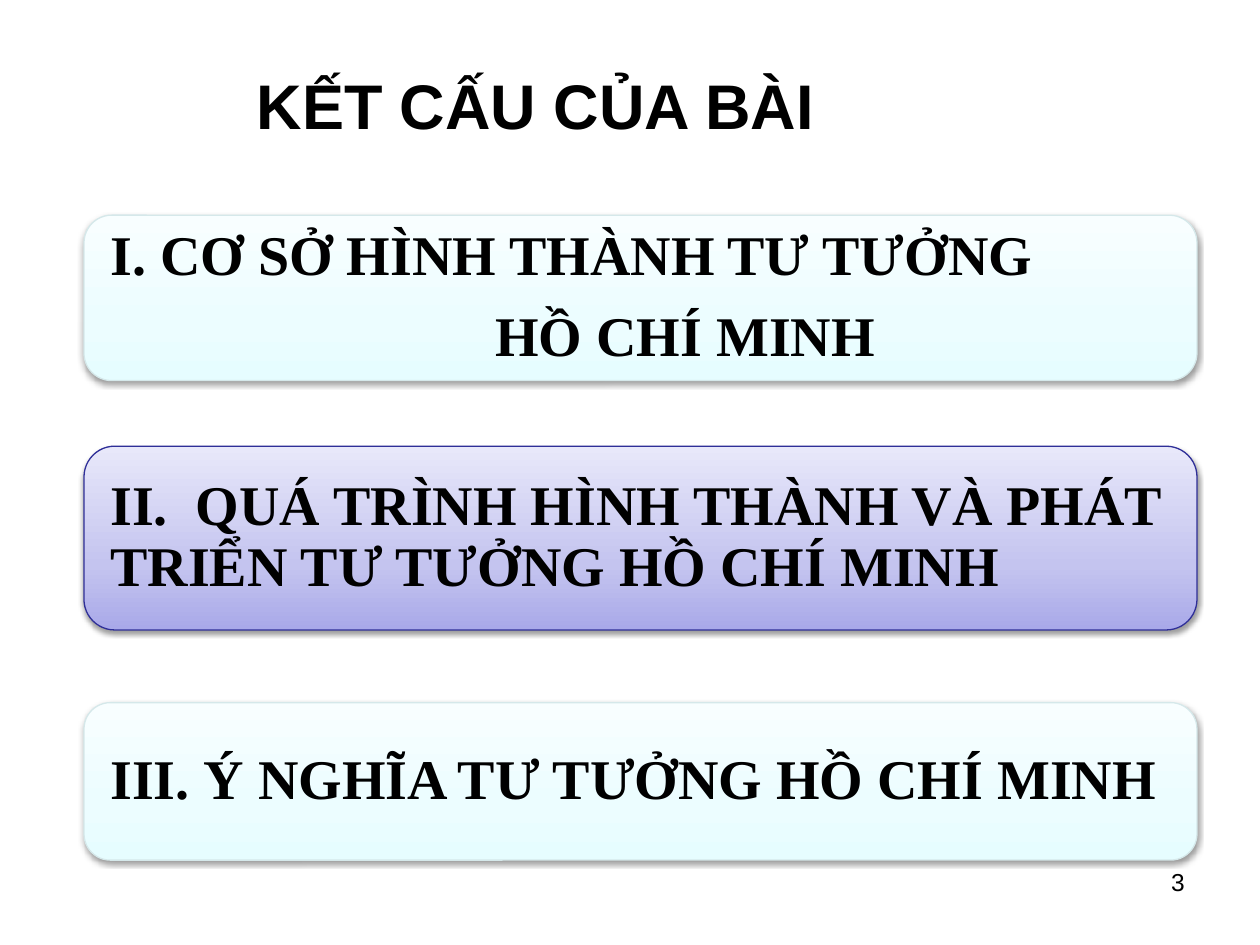
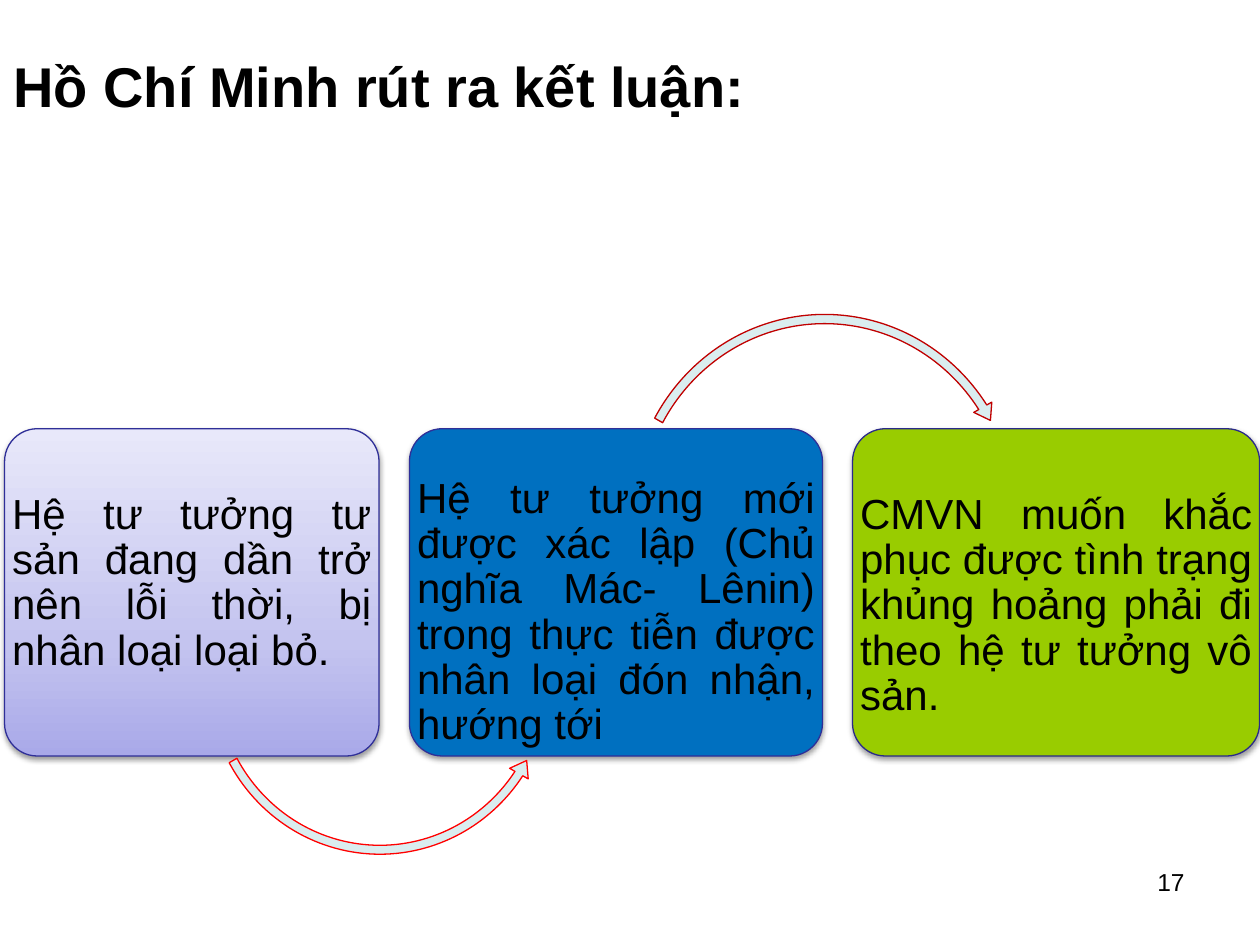
from copy import deepcopy
from dataclasses import dataclass

from lxml import etree
from pptx import Presentation
from pptx.dml.color import RGBColor
from pptx.enum import shapes, text
from pptx.oxml.ns import qn
from pptx.util import Pt

SANS, SERIF = "Arial", "Times New Roman"
BLACK, NAVY = "000000", "2F2F98"
STOPS = (0, 0.35, 1)
CYAN = ("E6FDFF", "ECFDFF", "F8FEFF")
LILAC = ("A9A9E9", "C4C4EF", "E8E8FA")
LEFT, CENTER = text.PP_ALIGN.LEFT, text.PP_ALIGN.CENTER
RIGHT, JUSTIFY = text.PP_ALIGN.RIGHT, text.PP_ALIGN.JUSTIFY
TOP, MIDDLE = text.MSO_ANCHOR.TOP, text.MSO_ANCHOR.MIDDLE
SHAPE = shapes.MSO_SHAPE


@dataclass
class Box:
    left: float
    top: float
    width: float
    height: float

    def emu(self) -> list:
        return [Pt(v) for v in (self.left, self.top, self.width, self.height)]


@dataclass
class CardStyle:
    font: str
    size: float
    bold: bool
    corner: float
    side_pad: float
    space_after: float
    anchor: text.MSO_ANCHOR


@dataclass
class Card:
    box: Box
    words: str
    fill: tuple
    line: str = NAVY
    align: text.PP_ALIGN = JUSTIFY
    top_pad: float = 2
    last_indent: float = 0


@dataclass
class Arc:
    """Curved arrow; angles are in degrees, thicknesses in parts of its size."""
    kind: SHAPE
    box: Box
    line: str
    thickness: float
    head_angle: float
    end_angle: float
    start_angle: float
    head_width: float


SECTION = CardStyle(SERIF, 32, True, 0.167, 15, 12, MIDDLE)
STEP = CardStyle(SANS, 24, False, 0.1, 4.3, 3.6, TOP)

SECTIONS = [
    Card(Box(48, 123, 636, 94.5), "I. CƠ SỞ HÌNH THÀNH TƯ TƯỞNG\nHỒ CHÍ MINH",
         CYAN, "D5E8EA", last_indent=220),
    Card(Box(48, 255, 636, 105),
         "II.  QUÁ TRÌNH HÌNH THÀNH VÀ PHÁT TRIỂN TƯ TƯỞNG HỒ CHÍ MINH",
         LILAC, align=LEFT),
    Card(Box(48, 401.5, 636, 90), "III. Ý NGHĨA TƯ TƯỞNG HỒ CHÍ MINH",
         CYAN, "D5E8EA", LEFT),
]
STEPS = [
    Card(Box(2.6, 245, 214, 187),
         "Hệ tư tưởng tư sản đang dần trở nên lỗi thời, bị nhân loại loại bỏ.",
         LILAC, top_pad=36.5),
    Card(Box(234, 245, 236, 187),
         "Hệ tư tưởng mới được xác lập (Chủ nghĩa Mác- Lênin) trong thực tiễn "
         "được nhân loại đón nhận, hướng tới", ("0070C0",), top_pad=27.4),
    Card(Box(487.2, 245, 232.6, 187),
         "CMVN muốn khắc phục được tình trạng khủng hoảng phải đi theo hệ tư "
         "tưởng vô sản.", ("99CC00",), "2A2A89", top_pad=36.5),
]
ARCS = [
    Arc(SHAPE.LEFT_CIRCULAR_ARROW, Box(115.2, 282.2, 203.8, 209.5), "FF0000",
        0.025, 5.16, 34.75, 150.41, 0.03),
    Arc(SHAPE.CIRCULAR_ARROW, Box(357.1, 176.4, 228.2, 235.4), "C00000",
        0.023, 4.56, 325.85, 209.59, 0.026),
]


def rgb(value: str) -> RGBColor:
    return RGBColor.from_string(value)


def format_text(p, font: str, size: float, bold: bool, align) -> None:
    p.alignment = align
    for r in p.runs:
        r.font.name, r.font.size, r.font.bold = font, Pt(size), bold
        r.font.color.rgb = rgb(BLACK)


def add_label(s, box: Box, words: str, size: float, bold: bool, align) -> None:
    tf = s.shapes.add_textbox(*box.emu()).text_frame
    tf.word_wrap = True
    tf.text = words
    format_text(tf.paragraphs[0], SANS, size, bold, align)


def paint(sp, colors: tuple, line: str) -> None:
    """Fill with one colour, or with a gradient running from bottom to top."""
    sp.shadow.inherit = False
    sp.line.color.rgb, sp.line.width = rgb(line), Pt(0.75)
    if len(colors) == 1:
        sp.fill.solid()
        sp.fill.fore_color.rgb = rgb(colors[0])
        return
    sp.fill.gradient()
    sp.fill.gradient_angle = 90
    stops = sp._element.spPr.find(".//" + qn("a:gsLst"))
    stops.append(deepcopy(stops[-1]))
    for stop, position, color in zip(sp.fill.gradient_stops, STOPS, colors):
        stop.position, stop.color.rgb = position, rgb(color)


def add_shadow(sp) -> None:
    effects = sp._element.spPr.find(qn("a:effectLst"))
    shadow = etree.SubElement(effects, qn("a:outerShdw"), blurRad=str(Pt(3.1)),
                              dist=str(Pt(1.6)), dir="5400000", rotWithShape="0")
    color = etree.SubElement(shadow, qn("a:srgbClr"), val=BLACK)
    etree.SubElement(color, qn("a:alpha"), val="38000")


def add_card(s, card: Card, style: CardStyle) -> None:
    sp = s.shapes.add_shape(SHAPE.ROUNDED_RECTANGLE, *card.box.emu())
    sp.adjustments[0] = style.corner
    paint(sp, card.fill, card.line)
    add_shadow(sp)
    tf = sp.text_frame
    tf.word_wrap, tf.vertical_anchor = True, style.anchor
    # A rounded rectangle already keeps text clear of its corners.
    built_in = 0.29 * style.corner * card.box.height
    tf.margin_left = tf.margin_right = Pt(style.side_pad - built_in)
    tf.margin_top, tf.margin_bottom = Pt(card.top_pad - built_in), Pt(2 - built_in)
    tf.text = card.words
    for p in tf.paragraphs:
        format_text(p, style.font, style.size, style.bold, card.align)
        p.line_spacing, p.space_after = 0.9, Pt(style.space_after)
    if card.last_indent:
        p._p.get_or_add_pPr().set("marL", str(Pt(card.last_indent)))


def add_arc(s, arc: Arc) -> None:
    sp = s.shapes.add_shape(arc.kind, *arc.box.emu())
    angles = [0.6 * a for a in (arc.head_angle, arc.end_angle, arc.start_angle)]
    for i, value in enumerate([arc.thickness, *angles, arc.head_width]):
        sp.adjustments[i] = value
    paint(sp, ("DAEDEF",), arc.line)


def add_slide(prs, number: int):
    s = prs.slides.add_slide(prs.slide_layouts[6])
    add_label(s, Box(516, 492, 168, 37.5), str(number), 14, False, RIGHT)
    return s


def main() -> None:
    prs = Presentation()
    prs.slide_width, prs.slide_height = Pt(720), Pt(540)

    s = add_slide(prs, 3)
    for card in SECTIONS:
        add_card(s, card, SECTION)
    add_label(s, Box(126, 34.5, 360, 51), "KẾT CẤU CỦA BÀI", 36, True, CENTER)

    s = add_slide(prs, 17)
    for card in STEPS:
        add_card(s, card, STEP)
    for arc in ARCS:
        add_arc(s, arc)
    add_label(s, Box(-2.2, 26, 438, 46), "Hồ Chí Minh rút ra kết luận:", 32, True, CENTER)

    prs.save("out.pptx")


if __name__ == "__main__":
    main()
